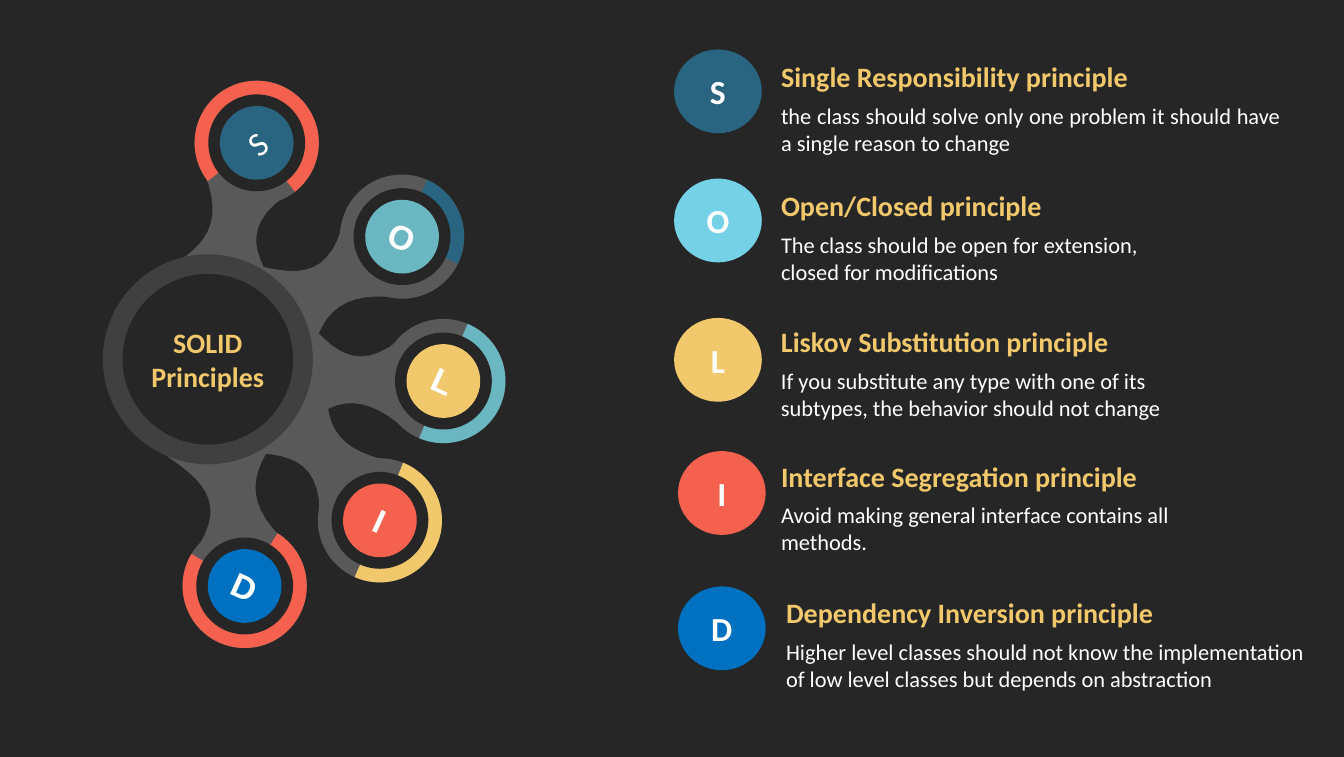
from typing import NamedTuple

from pptx import Presentation
from pptx.dml.color import RGBColor
from pptx.enum.shapes import MSO_SHAPE as Preset
from pptx.enum.text import MSO_ANCHOR as Anchor, MSO_AUTO_SIZE as AutoSize, PP_ALIGN as Align
from pptx.shapes.autoshape import Shape
from pptx.slide import Slide
from pptx.text.text import TextFrame
from pptx.util import Pt

NIGHT = RGBColor(0x26, 0x26, 0x26)
HUB_RIM = RGBColor(0x40, 0x40, 0x40)
GREY = RGBColor(0x59, 0x59, 0x59)
WHITE = RGBColor(0xFF, 0xFF, 0xFF)
GOLD = RGBColor(0xF1, 0xC9, 0x6C)
NAVY = RGBColor(0x29, 0x64, 0x80)
TEAL = RGBColor(0x6A, 0xB7, 0xC2)
SKY = RGBColor(0x75, 0xD1, 0xE6)
CORAL = RGBColor(0xF4, 0x61, 0x4E)
BLUE = RGBColor(0x00, 0x70, 0xC0)

Point = tuple[float, float]

NODE_SIZE, GAP_SIZE, CORE_SIZE = 88.6, 69.1, 52.6
HUB_CENTER = (148.3, 256.3)
HUB_SIZE, HUB_CORE_SIZE = 149.8, 121.7
BADGE_WIDTH, BADGE_HEIGHT = 62.6, 59.8
TITLE_HEIGHT, BODY_HEIGHT, BODY_DROP = 31, 45.4, 30.2
CURVE_STEPS = 16

ARM_HUB_RIGHT, ARM_HUB_LEFT = (58.3, -39.6), (-58.3, -46.1)
ARM_TIP_LEFT, ARM_TIP_RIGHT = (-25.6, 43.2), (33.1, 46.5)
ARM_LEFT_CURVE = (ARM_HUB_LEFT, (-33.1, -15.1), (8.6, 4.3), ARM_TIP_LEFT)
ARM_RIGHT_CURVE = (ARM_TIP_RIGHT, (3.6, 4.3), (33.8, -14.4), ARM_HUB_RIGHT)


class Arm(NamedTuple):
    center: Point
    turn: float
    mirror: int = 1


class Node(NamedTuple):
    letter: str
    center: Point
    core: RGBColor
    arc: RGBColor
    arc_start: float
    arc_end: float
    turn: float = 24.4
    font: str = "Arial"
    bold: bool = True


class Principle(NamedTuple):
    letter: str
    color: RGBColor
    badge_left: float
    badge_top: float
    text_left: float
    text_top: float
    text_width: float
    title: str
    body: str
    align: Align = Align.LEFT


ARMS = [
    Arm((167.8, 176.4), 193.1),
    Arm((220.3, 207.4), 238.5, -1),
    Arm((239.8, 265.7), 273.5, -1),
    Arm((218.2, 315.4), 317.9),
    Arm((159.8, 342.7), 350.4),
]

NODES = [
    Node("S", (183.2, 101.9), NAVY, CORAL, 142, 52, 321.3, "Calibri", False),
    Node("O", (286.9, 168.8), TEAL, NAVY, 294, 26),
    Node("L", (316.4, 271.8), GOLD, TEAL, 293, 113),
    Node("I", (271.1, 371.2), CORAL, GOLD, 292, 114),
    Node("D", (174.6, 418), BLUE, CORAL, 302, 211),
]

PRINCIPLES = [
    Principle("S", NAVY, 481, 35.3, 553.7, 38.9, 363.6, "Single Responsibility principle",
              "the class should solve only one problem it should have a single reason to change",
              Align.JUSTIFY),
    Principle("O", SKY, 481, 127.4, 553.7, 131, 298.8, "Open/Closed principle",
              "The class should be open for extension, closed for modifications"),
    Principle("L", GOLD, 481, 226.8, 553.7, 228.2, 321.1, "Liskov Substitution principle",
              "If you substitute any type with one of its subtypes, the behavior should not change"),
    Principle("I", CORAL, 483.8, 321.8, 553.7, 324, 344.9, "Interface Segregation principle",
              "Avoid making general interface contains all methods."),
    Principle("D", BLUE, 483.8, 418.3, 557.3, 421.2, 389.5, "Dependency Inversion principle",
              "Higher level classes should not know the implementation of low level classes "
              "but depends on abstraction"),
]


def write(frame: TextFrame, text: str, *, size: float, color: RGBColor, font: str = "Calibri",
          bold: bool = False, align: Align = Align.CENTER, anchor: Anchor = Anchor.MIDDLE) -> None:
    frame.word_wrap = True
    frame.vertical_anchor = anchor
    frame.margin_left = frame.margin_right = frame.margin_top = frame.margin_bottom = Pt(3.6)
    frame.text = text
    for paragraph in frame.paragraphs:
        paragraph.alignment = align
        paragraph.font.name = font
        paragraph.font.size = Pt(size)
        paragraph.font.bold = bold
        paragraph.font.color.rgb = color


def paint(shape: Shape, color: RGBColor) -> None:
    shape.shadow.inherit = False
    shape.fill.solid()
    shape.fill.fore_color.rgb = color
    shape.line.fill.background()


def add_disc(slide: Slide, center: Point, width: float, height: float, color: RGBColor,
             preset: Preset = Preset.OVAL) -> Shape:
    x, y = center
    disc = slide.shapes.add_shape(preset, Pt(x - width / 2), Pt(y - height / 2), Pt(width), Pt(height))
    paint(disc, color)
    return disc


def curve_points(curve: tuple[Point, Point, Point, Point]) -> list[Point]:
    points = []
    for step in range(CURVE_STEPS + 1):
        t = step / CURVE_STEPS
        weights = ((1 - t) ** 3, 3 * t * (1 - t) ** 2, 3 * t ** 2 * (1 - t), t ** 3)
        points.append((sum(w * x for w, (x, _) in zip(weights, curve)),
                       sum(w * y for w, (_, y) in zip(weights, curve))))
    return points


def add_arm(slide: Slide, arm: Arm) -> None:
    x, y = arm.center
    outline = [(Pt(x + arm.mirror * dx), Pt(y + dy))
               for dx, dy in curve_points(ARM_LEFT_CURVE) + curve_points(ARM_RIGHT_CURVE)]
    builder = slide.shapes.build_freeform(*outline[0])
    builder.add_line_segments(outline[1:], close=True)
    limb = builder.convert_to_shape()
    limb.rotation = arm.turn
    paint(limb, GREY)


def add_node(slide: Slide, node: Node) -> None:
    add_disc(slide, node.center, NODE_SIZE, NODE_SIZE, GREY)
    arc = add_disc(slide, node.center, NODE_SIZE, NODE_SIZE, node.arc, Preset.PIE)
    arc.adjustments[0] = node.arc_start * 0.6
    arc.adjustments[1] = node.arc_end * 0.6
    add_disc(slide, node.center, GAP_SIZE, GAP_SIZE, NIGHT)
    core = add_disc(slide, node.center, CORE_SIZE, CORE_SIZE, node.core)
    core.rotation = node.turn
    write(core.text_frame, node.letter, size=24, color=WHITE, font=node.font, bold=node.bold)


def add_hub(slide: Slide) -> None:
    add_disc(slide, HUB_CENTER, HUB_SIZE, HUB_SIZE, HUB_RIM)
    hub = add_disc(slide, HUB_CENTER, HUB_CORE_SIZE, HUB_CORE_SIZE, NIGHT)
    write(hub.text_frame, "SOLID\nPrinciples", size=20, color=GOLD, bold=True)
    hub.text_frame.word_wrap = False


def add_principle(slide: Slide, item: Principle) -> None:
    badge_center = (item.badge_left + BADGE_WIDTH / 2, item.badge_top + BADGE_HEIGHT / 2)
    badge = add_disc(slide, badge_center, BADGE_WIDTH, BADGE_HEIGHT, item.color)
    write(badge.text_frame, item.letter, size=24, color=WHITE, bold=True)
    left, width = Pt(item.text_left), Pt(item.text_width)
    title = slide.shapes.add_textbox(left, Pt(item.text_top), width, Pt(TITLE_HEIGHT))
    write(title.text_frame, item.title, size=20, color=GOLD, bold=True,
          align=Align.LEFT, anchor=Anchor.TOP)
    body = slide.shapes.add_textbox(left, Pt(item.text_top + BODY_DROP), width, Pt(BODY_HEIGHT))
    write(body.text_frame, item.body, size=16, color=WHITE, align=item.align, anchor=Anchor.TOP)
    for box in (title, body):
        box.text_frame.auto_size = AutoSize.SHAPE_TO_FIT_TEXT


def main() -> None:
    deck = Presentation()
    deck.slide_width, deck.slide_height = Pt(959), Pt(540)
    slide = deck.slides.add_slide(deck.slide_layouts[6])
    slide.background.fill.solid()
    slide.background.fill.fore_color.rgb = NIGHT
    for arm in ARMS:
        add_arm(slide, arm)
    add_hub(slide)
    for node in NODES:
        add_node(slide, node)
    for item in PRINCIPLES:
        add_principle(slide, item)
    deck.save("out.pptx")


if __name__ == "__main__":
    main()
